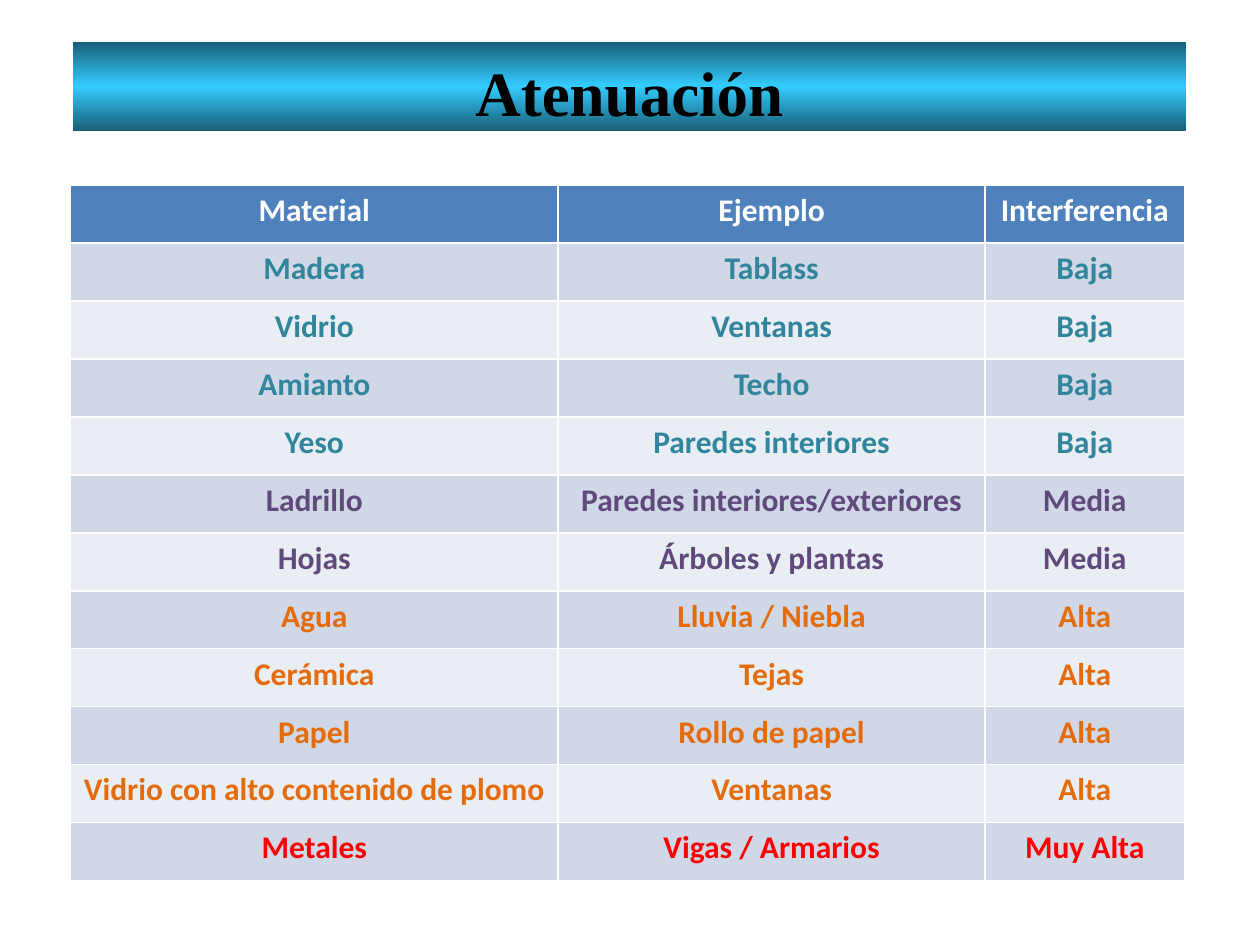
from copy import deepcopy
from dataclasses import dataclass

from pptx import Presentation
from pptx.dml.color import RGBColor
from pptx.enum.text import MSO_ANCHOR, PP_ALIGN
from pptx.oxml.ns import qn
from pptx.util import Inches, Pt

CENTER = PP_ALIGN.CENTER
MIDDLE = MSO_ANCHOR.MIDDLE
TITLE_ONLY = 5


@dataclass(frozen=True)
class Theme:
    title_font: str = "Times New Roman"
    body_font: str = "Calibri"
    title_size: int = 36
    body_size: int = 18
    title_text: str = "000000"
    banner: tuple = ((0, "185E76"), (0.5, "33CCFF"), (1, "185E76"))
    header_fill: str = "4F81BD"
    header_text: str = "FFFFFF"
    bands: tuple = ("D0D8E8", "E9EDF4")
    low: str = "31859C"
    medium: str = "604A7B"
    high: str = "E46C0A"
    very_high: str = "FF0000"


THEME = Theme()
LEVEL_COLORS = {"Baja": THEME.low, "Media": THEME.medium,
                "Alta": THEME.high, "Muy Alta": THEME.very_high}

HEADER = ("Material", "Ejemplo", "Interferencia")
MATERIALS = [
    ("Madera", "Tablass", "Baja"),
    ("Vidrio", "Ventanas", "Baja"),
    ("Amianto", "Techo", "Baja"),
    ("Yeso", "Paredes interiores", "Baja"),
    ("Ladrillo", "Paredes interiores/exteriores", "Media"),
    ("Hojas", "Árboles y plantas", "Media"),
    ("Agua", "Lluvia / Niebla", "Alta"),
    ("Cerámica", "Tejas", "Alta"),
    ("Papel", "Rollo de papel", "Alta"),
    ("Vidrio con alto contenido de plomo", "Ventanas", "Alta"),
    ("Metales", "Vigas / Armarios", "Muy Alta"),
]


class SlideBuilder:
    """Holds the theme and the slide being filled."""

    def __init__(self, slide, theme):
        self.s = slide
        self.theme = theme

    def format_text(self, p, font, size, color):
        p.alignment = CENTER
        p.font.name = font
        p.font.size = Pt(size)
        p.font.bold = True
        p.font.color.rgb = RGBColor.from_string(color)

    def title(self, text, left, top, width, height):
        t = self.theme
        sp = self.s.shapes.title
        sp.left, sp.top, sp.width, sp.height = map(Inches, (left, top, width, height))

        # Three-stop gradient, dark at both edges
        sp.fill.gradient()
        sp.fill.gradient_angle = 90
        stops = sp._element.spPr.find(".//" + qn("a:gsLst"))
        stops.append(deepcopy(stops[0]))
        for stop, (position, color) in zip(sp.fill.gradient_stops, t.banner):
            stop.position = position
            stop.color.rgb = RGBColor.from_string(color)

        tf = sp.text_frame
        tf.text = text
        tf.vertical_anchor = MIDDLE
        # Uneven insets set the text slightly below the middle
        tf.margin_top, tf.margin_bottom = Inches(0.09), Inches(0.01)
        self.format_text(tf.paragraphs[0], t.title_font, t.title_size, t.title_text)

    def cell(self, cell, text, fill, color):
        cell.fill.solid()
        cell.fill.fore_color.rgb = RGBColor.from_string(fill)
        cell.text = text
        self.format_text(cell.text_frame.paragraphs[0], self.theme.body_font,
                         self.theme.body_size, color)

    def table(self, header, rows, left, top, widths, row_height):
        t = self.theme
        count = len(rows) + 1
        table = self.s.shapes.add_table(
            count, len(header), Inches(left), Inches(top),
            Inches(sum(widths)), Inches(row_height * count)).table
        for column, width in zip(table.columns, widths):
            column.width = Inches(width)
        for c, text in enumerate(header):
            self.cell(table.cell(0, c), text, t.header_fill, t.header_text)
        for r, row in enumerate(rows):
            for c, text in enumerate(row):
                self.cell(table.cell(r + 1, c), text,
                          t.bands[r % 2], LEVEL_COLORS[row[-1]])


def main():
    prs = Presentation()
    prs.slide_width, prs.slide_height = Inches(10), Inches(7.5)
    builder = SlideBuilder(prs.slides.add_slide(prs.slide_layouts[TITLE_ONLY]), THEME)

    # Title banner
    builder.title("Atenuación", 0.58, 0.33, 8.83, 0.71)

    # Materials and the interference they cause
    builder.table(HEADER, MATERIALS, 0.56, 1.47, (3.87, 3.39, 1.58), 0.46)

    prs.save("out.pptx")


if __name__ == "__main__":
    main()
